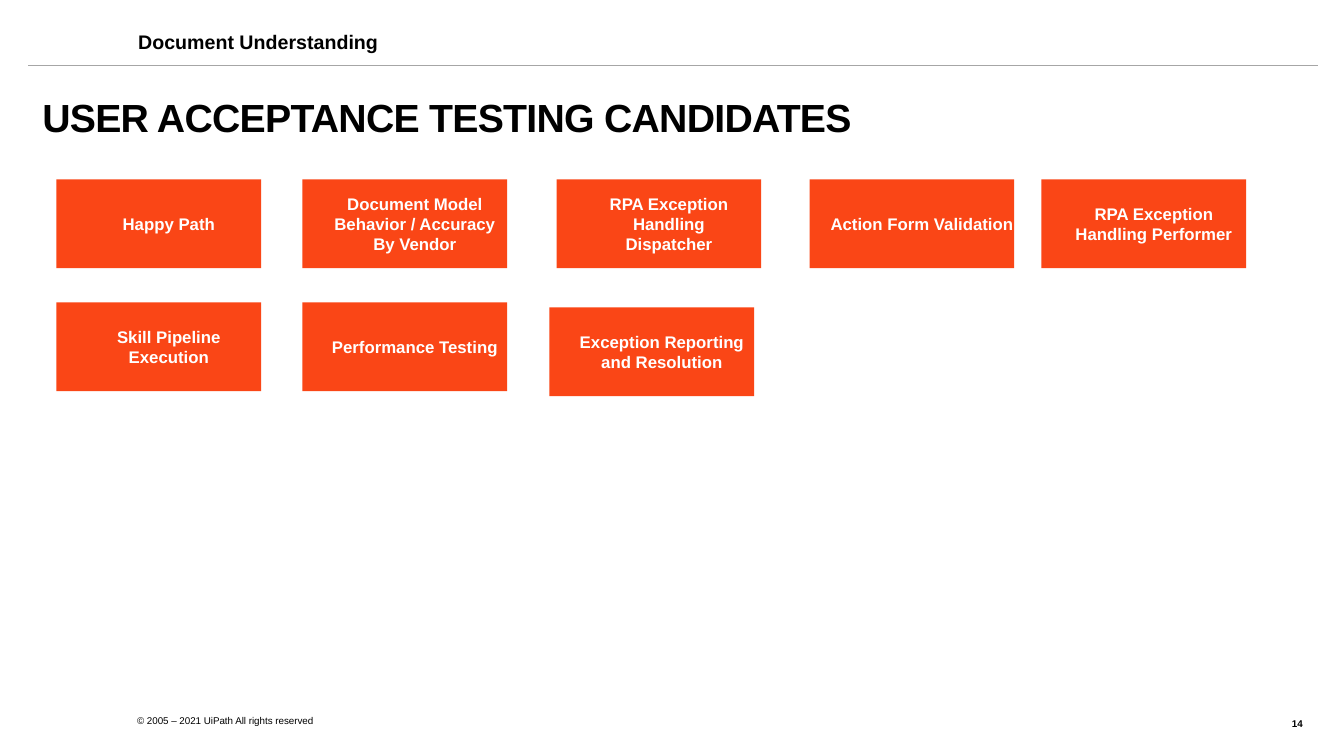
from pptx import Presentation
from pptx.dml.color import RGBColor
from pptx.enum.shapes import MSO_CONNECTOR, MSO_SHAPE
from pptx.enum.text import MSO_ANCHOR, PP_ALIGN
from pptx.oxml.ns import qn
from pptx.util import Pt
from lxml import etree

PX = 9144
THEME = {
    "font": "Arial",
    "ink": RGBColor.from_string("000000"),
    "rule": RGBColor.from_string("A6A6A6"),
    "card": RGBColor.from_string("FA4616"),
    "card_text": RGBColor.from_string("FFFFFF"),
    "title": Pt(28),
    "section": Pt(14),
    "body": Pt(12),
    "small": Pt(7),
}


def write(sp, lines, size, color, bold, align, anchor, insets, wrap=True):
    tf = sp.text_frame
    left, top, right, bottom = [v * PX for v in insets]
    frame = {"margin_left": left, "margin_top": top, "margin_right": right,
             "margin_bottom": bottom, "vertical_anchor": anchor, "word_wrap": wrap}
    for name, value in frame.items():
        setattr(tf, name, value)
    for i, line in enumerate(lines):
        p = tf.paragraphs[0] if i == 0 else tf.add_paragraph()
        p.alignment = align
        r = p.add_run()
        r.text = line
        r.font.color.rgb = THEME[color]
        for name, value in {"name": THEME["font"], "size": THEME[size], "bold": bold}.items():
            setattr(r.font, name, value)
    return tf


prs = Presentation()
prs.slide_width, prs.slide_height = 1333 * PX, 750 * PX
s = prs.slides.add_slide(prs.slide_layouts[6])

LABEL_INSETS = (5, 5, 10, 5)
NO_INSETS = (0, 0, 0, 0)
LEFT, RIGHT = PP_ALIGN.LEFT, PP_ALIGN.RIGHT
TOP, MIDDLE = MSO_ANCHOR.TOP, MSO_ANCHOR.MIDDLE
labels = [
    ((131, 704, 193, 22), "© 2005 – 2021 UiPath All rights reserved",
     "small", False, LEFT, MIDDLE, LABEL_INSETS, False),
    ((42, 100, 1250, 100), "USER ACCEPTANCE TESTING CANDIDATES",
     "title", True, LEFT, TOP, NO_INSETS, True),
    ((1203, 711, 89, 13), "14", "small", True, RIGHT, MIDDLE, NO_INSETS, True),
    ((132, 24, 254, 34), "Document Understanding",
     "section", True, LEFT, MIDDLE, LABEL_INSETS, False),
]
for box, text, size, bold, align, anchor, insets, wrap in labels:
    sp = s.shapes.add_textbox(*[v * PX for v in box])
    tf = write(sp, [text], size, "ink", bold, align, anchor, insets, wrap)
    if size == "title":
        p = tf.paragraphs[0]
        p.line_spacing = 0.85
        p.runs[0].font._element.set("spc", "-50")

rule = s.shapes.add_connector(MSO_CONNECTOR.STRAIGHT, 28 * PX, 65 * PX, 1307 * PX, 65 * PX)
rule.line.color.rgb = THEME["rule"]
rule.line.width = Pt(1)
etree.SubElement(rule._element.spPr, qn("a:effectLst"))

CARD_W, CARD_H = 203, 88
cards = [
    (56, 178, ["Happy Path"]),
    (300, 178, ["Document Model Behavior / Accuracy By Vendor"]),
    (552, 178, ["RPA Exception Handling", "Dispatcher"]),
    (803, 178, ["Action Form Validation"]),
    (1033, 178, ["RPA Exception Handling Performer"]),
    (56, 300, ["Skill Pipeline Execution"]),
    (300, 300, ["Performance Testing"]),
    (545, 305, ["Exception Reporting and Resolution"]),
]
for x, y, lines in cards:
    sp = s.shapes.add_shape(MSO_SHAPE.RECTANGLE, x * PX, y * PX, CARD_W * PX, CARD_H * PX)
    sp.shadow.inherit = False
    sp.fill.solid()
    sp.fill.fore_color.rgb = THEME["card"]
    sp.line.fill.background()
    write(sp, lines, "body", "card_text", True, PP_ALIGN.CENTER, MIDDLE, (20, 0, 0, 0))

prs.save("out.pptx")
